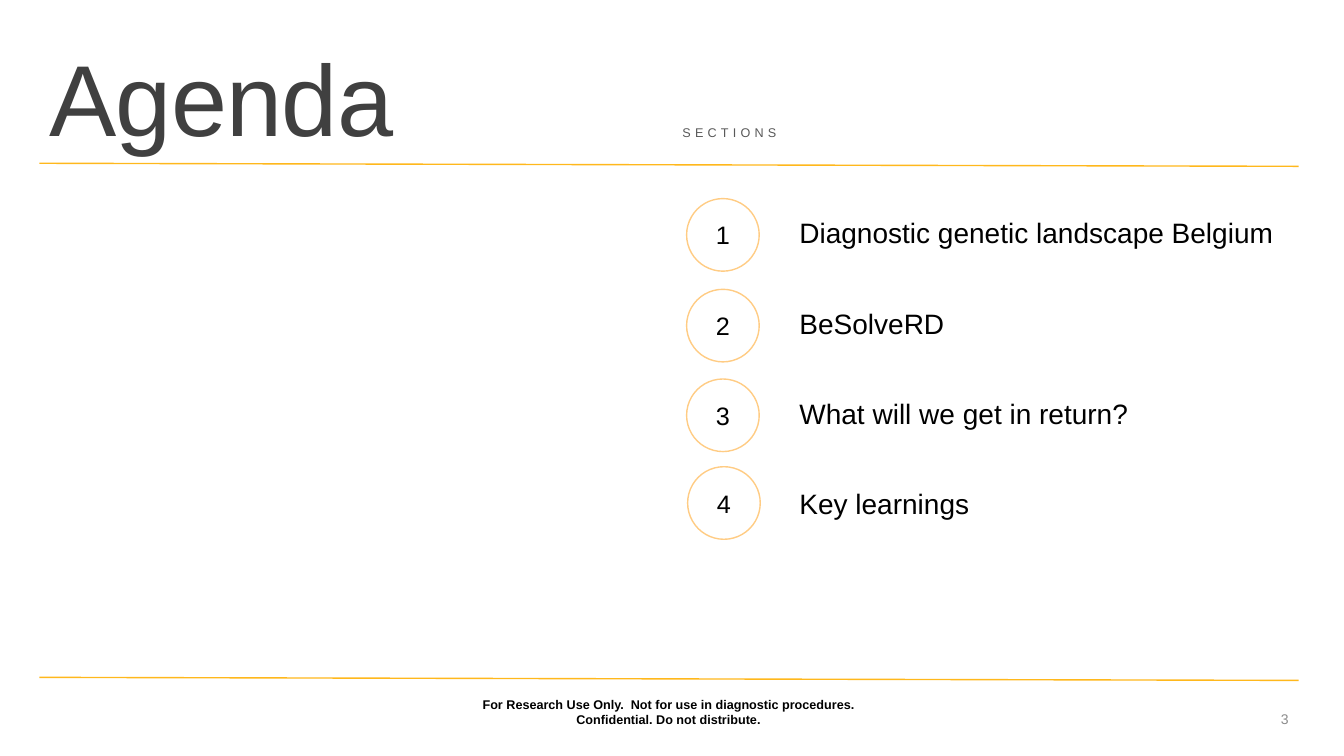
from dataclasses import dataclass

from lxml import etree
from pptx import Presentation
from pptx.dml.color import RGBColor
from pptx.enum import shapes, text
from pptx.oxml.ns import qn
from pptx.slide import Slide
from pptx.util import Inches, Pt

COLOURS = {
    "rule": "FFB81C",
    "ring": "FFCC84",
    "white": "FFFFFF",
    "title": "404040",
    "caption": "595959",
    "page": "8C8C8C",
    "black": "000000",
}
FONT = "Arial"
RING_SIZE = 0.72
MIDDLE = text.MSO_ANCHOR.MIDDLE


@dataclass
class Label:
    wording: str
    left: float
    top: float
    width: float
    height: float
    size: float
    colour: str = "black"
    bold: bool = False
    align: text.PP_ALIGN = text.PP_ALIGN.LEFT
    anchor: text.MSO_ANCHOR = MIDDLE
    wrap: bool = True
    line_spacing: float = 1.0
    space_before: float = 0
    space_after: float = 0
    tracking: float = 0


@dataclass
class Section:
    topic: str
    ring_left: float
    ring_top: float
    topic_top: float
    line_spacing: float = 0.9
    space_before: float = 10
    space_after: float = 0


SECTIONS = [
    Section("Diagnostic genetic landscape Belgium", 6.81, 1.97, 2.09),
    Section("BeSolveRD", 6.81, 2.87, 2.99),
    Section("What will we get in return?", 6.81, 3.76, 3.89),
    Section("Key learnings", 6.82, 4.63, 4.73, 1.2, 8, 8),
]

LABELS = [
    Label("SECTIONS", 6.67, 1.19, 1.18, 0.25, 9, "caption", wrap=False, tracking=3),
    Label("Agenda", 0.39, 0.4, 5.07, 1.25, 72, "title",
          line_spacing=0.9, tracking=-0.5),
    Label("For Research Use Only.  Not for use in diagnostic procedures. "
          "Confidential. Do not distribute.", 4.38, 6.86, 4.5, 0.4, 9, bold=True,
          align=text.PP_ALIGN.CENTER, anchor=text.MSO_ANCHOR.BOTTOM),
    Label("3", 9.88, 7, 3, 0.27, 10, "page", align=text.PP_ALIGN.RIGHT),
]


def rgb(name: str) -> RGBColor:
    return RGBColor.from_string(COLOURS[name])


def draw_rule(slide: Slide, top: float) -> None:
    rule = slide.shapes.add_connector(
        shapes.MSO_CONNECTOR.STRAIGHT,
        Inches(0.39), Inches(top), Inches(12.88), Inches(top + 0.03))
    rule.line.color.rgb = rgb("rule")
    rule.line.width = Pt(1)
    etree.SubElement(rule._element.spPr, qn("a:effectLst"))


def draw_label(slide: Slide, label: Label) -> None:
    box = slide.shapes.add_textbox(Inches(label.left), Inches(label.top),
                                   Inches(label.width), Inches(label.height))
    frame = box.text_frame
    frame.word_wrap = label.wrap
    frame.vertical_anchor = label.anchor
    paragraph = frame.paragraphs[0]
    paragraph.alignment = label.align
    paragraph.line_spacing = label.line_spacing
    paragraph.space_before = Pt(label.space_before)
    paragraph.space_after = Pt(label.space_after)
    paragraph.font.name = FONT
    paragraph.font.size = Pt(label.size)
    paragraph.font.bold = label.bold
    paragraph.font.color.rgb = rgb(label.colour)
    wording = paragraph.add_run()
    wording.text = label.wording
    if label.tracking:
        wording._r.get_or_add_rPr().set("spc", str(round(label.tracking * 100)))


def draw_section(slide: Slide, number: int, section: Section) -> None:
    ring = slide.shapes.add_shape(
        shapes.MSO_SHAPE.OVAL, Inches(section.ring_left), Inches(section.ring_top),
        Inches(RING_SIZE), Inches(RING_SIZE))
    ring.shadow.inherit = False
    ring.fill.solid()
    ring.fill.fore_color.rgb = rgb("white")
    ring.line.color.rgb = rgb("ring")
    ring.line.width = Pt(1)
    ring.text_frame.vertical_anchor = MIDDLE
    digit = ring.text_frame.paragraphs[0]
    digit.text = str(number)
    digit.alignment = text.PP_ALIGN.CENTER
    digit.font.name = FONT
    digit.font.size = Pt(18)
    digit.font.color.rgb = rgb("black")

    draw_label(slide, Label(
        section.topic, 7.83, section.topic_top, 5.04, 0.47, 20,
        line_spacing=section.line_spacing, space_before=section.space_before,
        space_after=section.space_after))


def main() -> None:
    deck = Presentation()
    deck.slide_width = Inches(13.33)
    deck.slide_height = Inches(7.5)
    slide = deck.slides.add_slide(deck.slide_layouts[6])

    # Rules under the header and above the footer
    for top in (1.62, 6.72):
        draw_rule(slide, top)

    # Title, caption, disclaimer and page number
    for label in LABELS:
        draw_label(slide, label)

    # Numbered agenda
    for number, section in enumerate(SECTIONS, start=1):
        draw_section(slide, number, section)

    deck.save("out.pptx")


if __name__ == "__main__":
    main()
